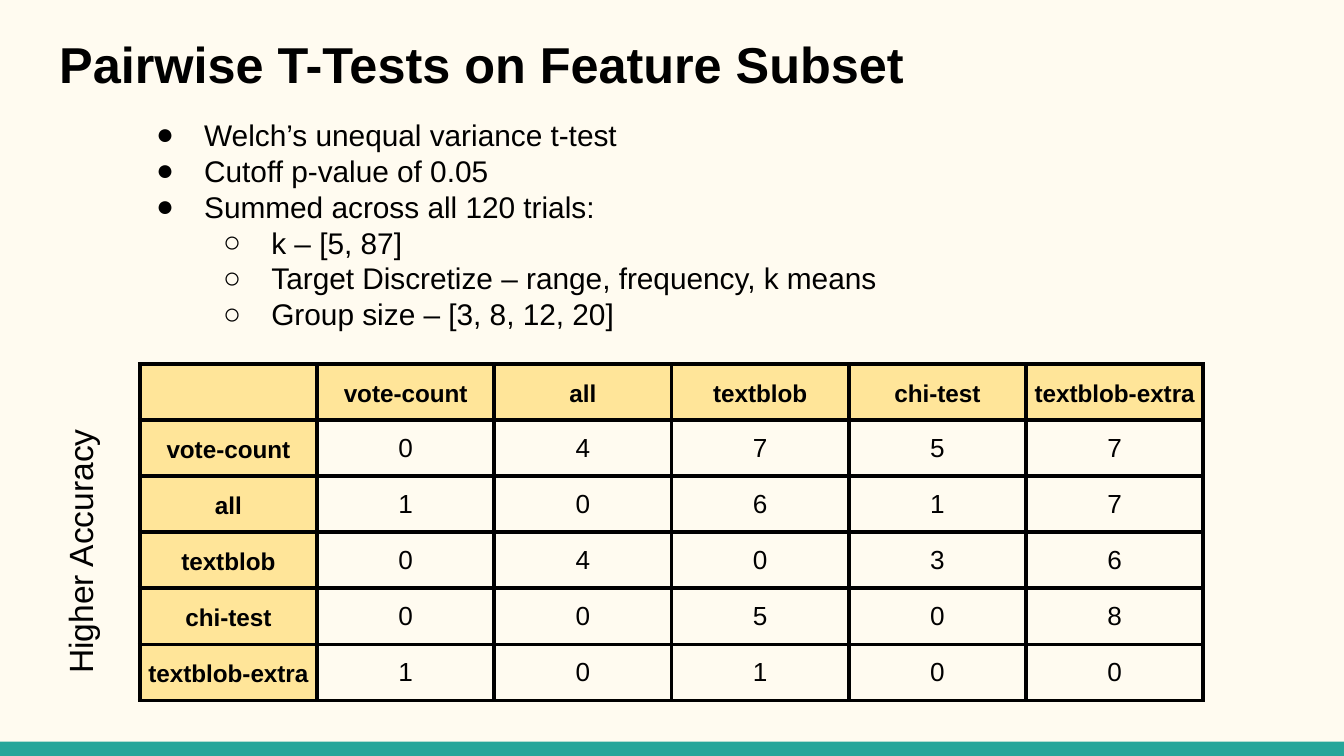
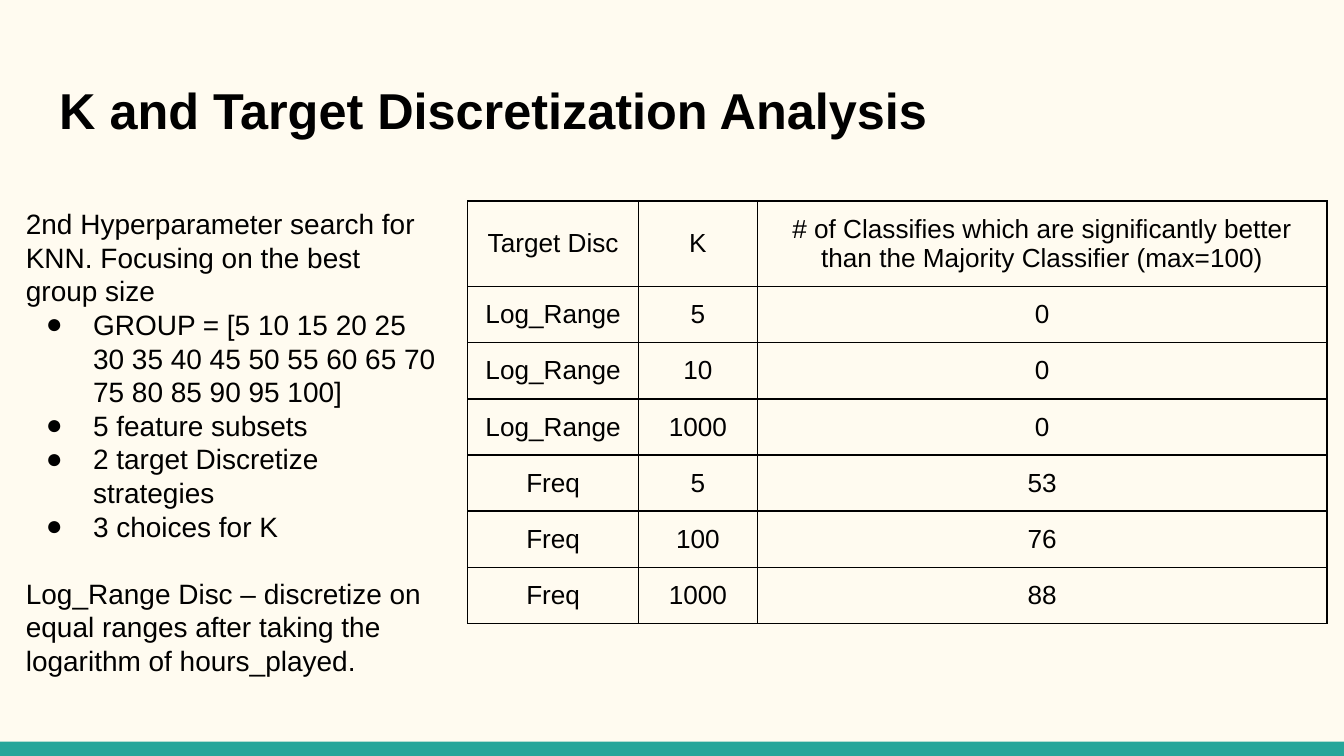
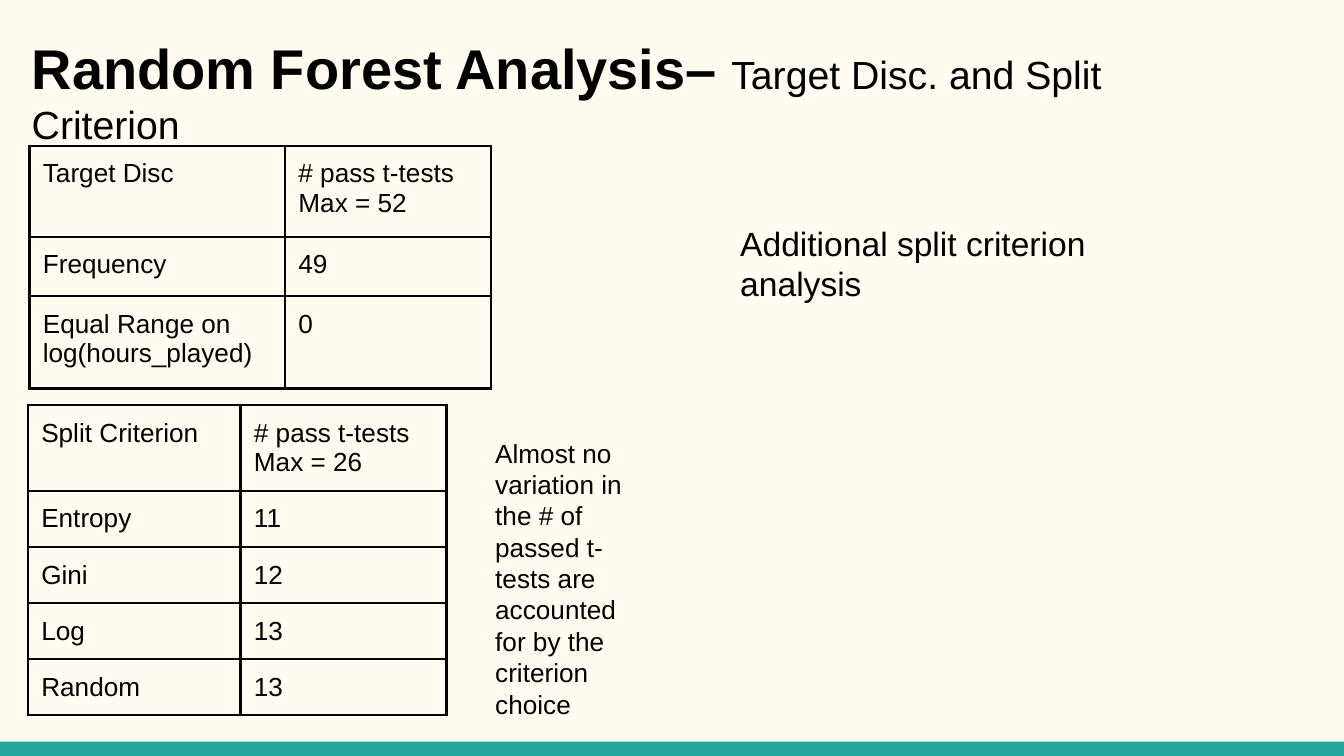
from lxml.etree import SubElement as Sub
from pptx import Presentation
from pptx.dml.color import RGBColor
from pptx.enum.shapes import MSO_SHAPE as Shape
from pptx.enum.text import MSO_ANCHOR as Anchor, PP_ALIGN as Align
from pptx.oxml.ns import qn
from pptx.util import Cm, Pt

CREAM = RGBColor(0xFF, 0xFB, 0xF0)
TEAL = RGBColor(0x26, 0xA6, 0x9A)
GOLD = RGBColor(0xFF, 0xE5, 0x99)
BLACK = RGBColor(0, 0, 0)
MARKS = {1: "●", 2: "○"}


class Deck:
    """Holds the shared style and the current slide."""

    font = "Arial"
    inset = 0.25
    wide, high, band = 25.4, 14.29, 0.27

    def __init__(self):
        self.prs = Presentation()
        self.prs.slide_width, self.prs.slide_height = Cm(self.wide), Cm(self.high)
        fill = self.prs.slide_master.background.fill
        fill.solid()
        fill.fore_color.rgb = CREAM

    def page(self):
        self.slide = self.prs.slides.add_slide(self.prs.slide_layouts[6])
        bar = self.slide.shapes.add_shape(
            Shape.RECTANGLE, 0, Cm(self.high - self.band), Cm(self.wide), Cm(self.band))
        bar.shadow.inherit = False
        bar.fill.solid()
        bar.fill.fore_color.rgb = TEAL
        bar.line.fill.background()

    def pad(self, item, side, top, base):
        item.margin_left = item.margin_right = Cm(side)
        item.margin_top, item.margin_bottom = Cm(top), Cm(base)

    def ink(self, run, size, bold=False):
        font = run.font
        font.name, font.size, font.bold = self.font, Pt(size), bold
        font.color.rgb = BLACK

    def box(self, left, top, width, height):
        shape = self.slide.shapes.add_textbox(Cm(left), Cm(top), Cm(width), Cm(height))
        shape.text_frame.word_wrap = True
        self.pad(shape.text_frame, self.inset, self.inset, self.inset)
        return shape

    def title(self, left, top, width, *parts):
        para = self.box(left, top, width, 1.7).text_frame.paragraphs[0]
        for text, size, bold in parts:
            run = para.add_run()
            run.text = text
            self.ink(run, size, bold)

    def note(self, left, top, width, height, size, text, turn=0):
        shape = self.box(left, top, width, height)
        shape.rotation = turn
        shape.text_frame.text = text
        self.ink(shape.text_frame.paragraphs[0].runs[0], size)

    def list(self, left, top, width, height, size, items, hang=0.91):
        frame = self.box(left, top, width, height).text_frame
        frame.text = "\n".join(text for _, text in items)
        for para, (level, _) in zip(frame.paragraphs, items):
            self.ink(para.runs[0], size)
            if level:
                self.mark(para, level, hang)
        return frame.paragraphs

    def mark(self, para, level, hang):
        para.level = level - 1
        props = para._p.get_or_add_pPr()
        props.set("marL", str(Cm(1.27 * level)))
        props.set("indent", str(-Cm(hang)))
        tint = Sub(props, qn("a:buClr"))
        Sub(tint, qn("a:srgbClr"), val=str(BLACK))
        Sub(props, qn("a:buFont"), typeface=self.font)
        Sub(props, qn("a:buChar"), char=MARKS[level])

    def edge(self, cell, line):
        props = cell._tc.get_or_add_tcPr()
        for side in "LRTB":
            rule = Sub(props, qn(f"a:ln{side}"), w=str(Pt(line)))
            fill = Sub(rule, qn("a:solidFill"))
            Sub(fill, qn("a:srgbClr"), val=str(BLACK))

    def table(self, left, top, cols, rows, data, line, mid=True, heads=False):
        grid = self.slide.shapes.add_table(
            len(rows), len(cols), Cm(left), Cm(top), Cm(sum(cols)), Cm(sum(rows))).table
        grid.first_row = grid.horz_banding = False
        for col, width in zip(grid.columns, cols):
            col.width = Cm(width)
        for row, height in zip(grid.rows, rows):
            row.height = Cm(height)
        gaps = (0.08, 0.05, 0.05) if heads else (0.25, 0.19, 0.19) if mid else (0.25, 0.25, 0.14)
        for r, texts in enumerate(data):
            for c, text in enumerate(texts):
                cell = grid.cell(r, c)
                self.edge(cell, line)
                self.pad(cell, *gaps)
                self.fill(cell, text, mid, heads and 0 in (r, c))

    def fill(self, cell, text, mid, head):
        if head:
            cell.fill.solid()
            cell.fill.fore_color.rgb = GOLD
        else:
            cell.fill.background()
        cell.vertical_anchor = Anchor.MIDDLE if mid else Anchor.TOP
        cell.text_frame.text = str(text)
        for para in cell.text_frame.paragraphs:
            para.alignment = Align.CENTER if mid else Align.LEFT
            para.line_spacing = 1.15 if head else 1.0
            for run in para.runs:
                self.ink(run, 13 if head else 14, head)


def pairs(deck):
    deck.page()
    deck.title(0.87, 0.38, 23.67, ("Pairwise T-Tests on Feature Subset", 27, True))
    names = ["vote-count", "all", "textblob", "chi-test", "textblob-extra"]
    wins = [[0, 4, 7, 5, 7], [1, 0, 6, 1, 7], [0, 4, 0, 3, 6],
            [0, 0, 5, 0, 8], [1, 0, 1, 0, 0]]
    data = [["", *names]] + [[name, *row] for name, row in zip(names, wins)]
    deck.table(2.64, 6.88, [3.35] * 6, [1.06] * 6, data, 2.25, heads=True)
    deck.note(-1.22, 9.19, 5.89, 1.7, 18, "Higher Accuracy", turn=270)
    deck.list(2.34, 1.96, 16.54, 4.29, 16, [
        (1, "Welch’s unequal variance t-test"),
        (1, "Cutoff p-value of 0.05"),
        (1, "Summed across all 120 trials:"),
        (2, "k – [5, 87]"),
        (2, "Target Discretize – range, frequency, k means"),
        (2, "Group size – [3, 8, 12, 20]")])


def target(deck):
    deck.page()
    deck.title(0.87, 1.24, 19.02, ("K and Target Discretization Analysis", 27, True))
    data = [
        ["Target Disc", "K", "# of Classifies which are significantly better "
                             "than the Majority Classifier (max=100)"],
        ["Log_Range", 5, 0], ["Log_Range", 10, 0], ["Log_Range", 1000, 0],
        ["Freq", 5, 53], ["Freq", 100, 76], ["Freq", 1000, 88]]
    deck.table(8.84, 3.8, [3.23, 2.24, 10.77], [1.62] + [1.06] * 6, data, 0.75)
    paras = deck.list(0.24, 3.66, 8.31, 10.24, 15, [
        (0, "2nd Hyperparameter search for KNN. Focusing on the best group size"),
        (1, "GROUP = [5 10 15 20 25 30 35 40 45 50 55 60 65 70 75 80 85 90 95 100]"),
        (1, "5 feature subsets"),
        (1, "2 target Discretize strategies"),
        (1, "3 choices for K"),
        (0, "Log_Range Disc – discretize on equal ranges after taking the "
            "logarithm of hours_played.")], hang=0.89)
    paras[-1].space_before = Pt(18)


def forest(deck):
    deck.page()
    deck.title(0.35, 0.38, 23.67, ("Random Forest Analysis–", 30, True),
               (" ", 27, False), ("Target Disc. and Split Criterion", 21, False))
    split = [["Split Criterion", "# pass t-tests\nMax = 26"],
             ["Entropy", 11], ["Gini", 12], ["Log", 13], ["Random", 13]]
    deck.table(0.53, 7.66, [4.02, 3.89], [1.62] + [1.06] * 4, split, 1.5, mid=False)
    disc = [["Target Disc", "# pass t-tests\nMax = 52"],
            ["Frequency", 49], ["Equal Range on log(hours_played)", 0]]
    deck.table(0.56, 2.76, [4.83, 3.89], [1.72, 1.12, 1.74], disc, 1.5, mid=False)
    deck.note(9.11, 8.01, 3.4, 5.54, 14, "Almost no variation in the # of passed t-tests "
              "are accounted for by the criterion choice")
    deck.note(13.74, 3.96, 7.34, 4.85, 18, "Additional split criterion analysis")


def main():
    deck = Deck()
    for build in (pairs, target, forest):
        build(deck)
    deck.prs.save("out.pptx")


if __name__ == "__main__":
    main()
